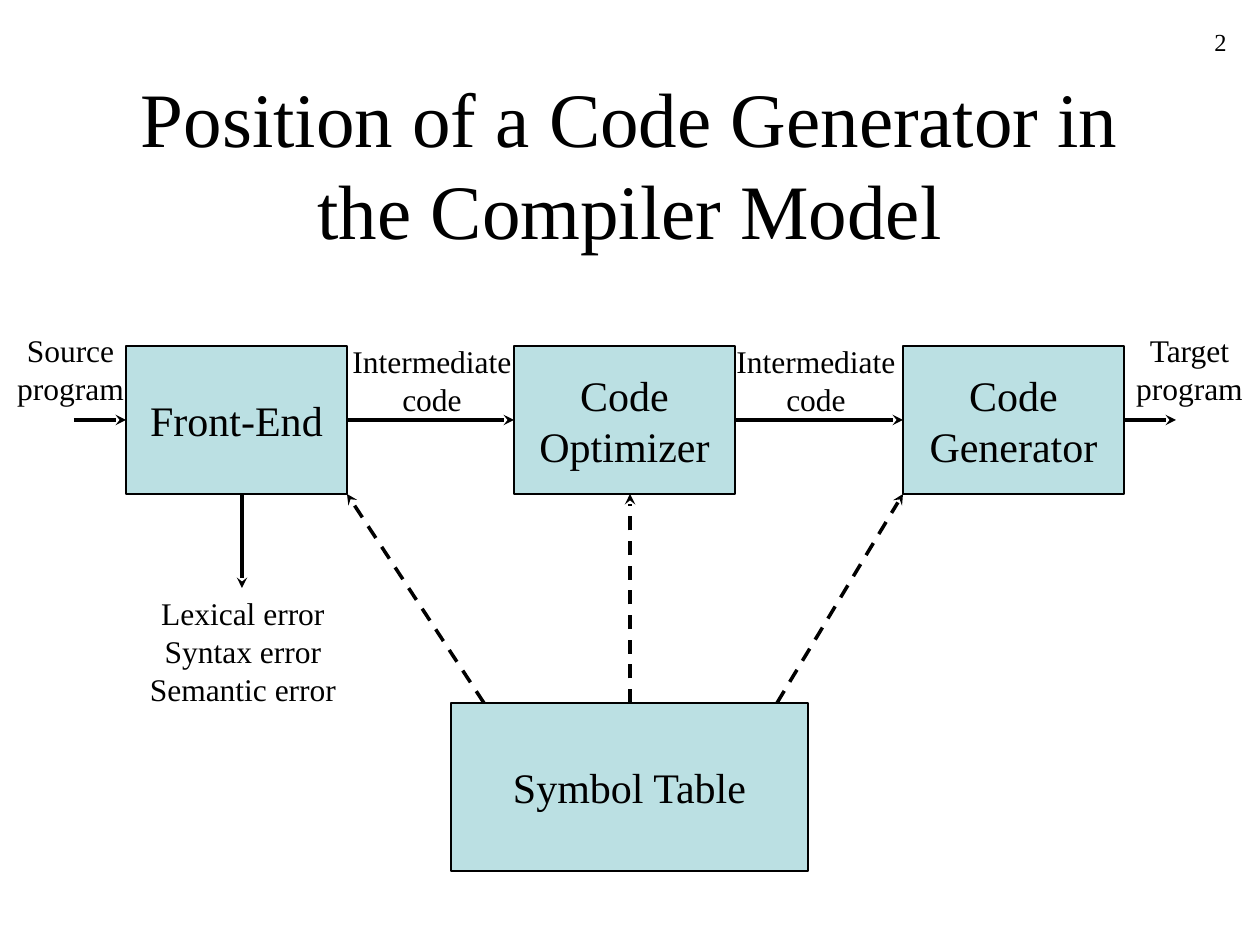
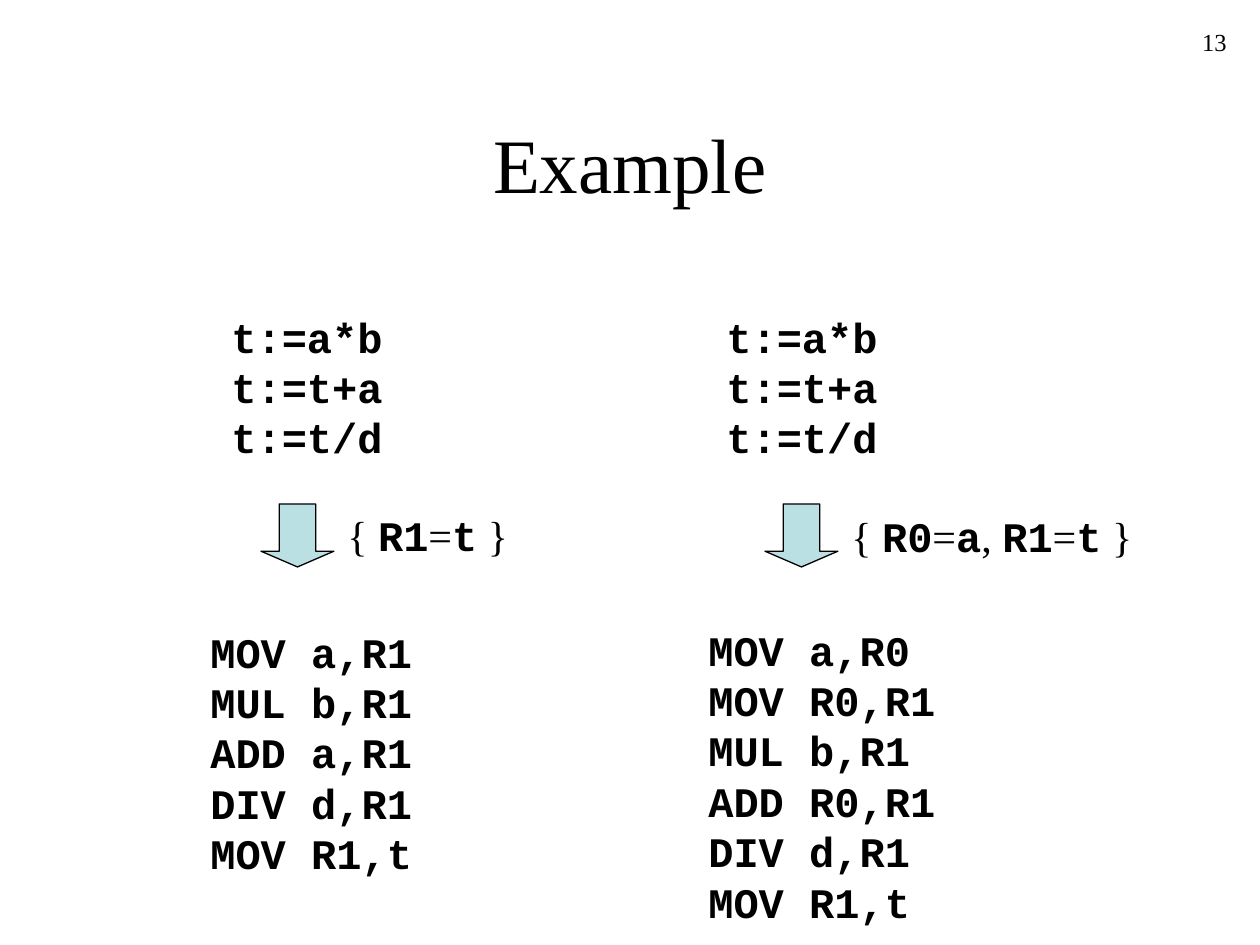
from dataclasses import dataclass

from lxml import etree
from pptx import Presentation
from pptx import util as u
from pptx.dml.color import RGBColor
from pptx.enum import dml, shapes, text
from pptx.oxml import ns

PX_PER_INCH = 126
TITLE_ONLY = 5


@dataclass(frozen=True)
class Theme:
    ink: RGBColor = RGBColor(0, 0, 0)
    paper: RGBColor = RGBColor(255, 255, 255)
    block: RGBColor = RGBColor(0xBB, 0xE0, 0xE3)
    serif: str = "Times New Roman"
    mono: str = "Courier New"
    title_size: int = 44
    body_size: int = 24
    label_size: int = 18
    number_size: int = 14
    outline: float = 0.75
    arrow: float = 2


THEME = Theme()
SERIF = {"name": THEME.serif, "bold": False}
MONO = {"name": THEME.mono, "bold": True}
CENTER = text.PP_ALIGN.CENTER
LEFT = text.PP_ALIGN.LEFT


def px(*lengths):
    return [u.Emu(round(length * 914400 / PX_PER_INCH)) for length in lengths]


def apply(target, values):
    for name, value in values.items():
        setattr(target, name, value)


# Text
def add_span(para, words, size, face):
    span = para.add_run()
    span.text = words
    apply(span.font, {**face, "size": u.Pt(size)})
    span.font.color.rgb = THEME.ink


def write(box, words, size, face=SERIF, align=CENTER, wrap=False,
          anchor=text.MSO_ANCHOR.TOP):
    """Write lines into a box; pieces between bars alternate serif and code."""
    left, top = px(12.6, 6.3)
    apply(box.text_frame, {
        "word_wrap": wrap, "vertical_anchor": anchor,
        "auto_size": text.MSO_AUTO_SIZE.NONE,
        "margin_left": left, "margin_right": left,
        "margin_top": top, "margin_bottom": top})
    para = box.text_frame.paragraphs[0]
    para.alignment = align
    for row, line in enumerate(words.split("\n")):
        if row:
            para.add_line_break()
        for index, piece in enumerate(line.split("|")):
            add_span(para, piece, size, MONO if index % 2 else face)


def add_label(page, area, words, size=THEME.label_size, **style):
    box = page.shapes.add_textbox(*px(*area))
    write(box, words, size, **style)


# Shapes and arrows
def add_block(page, area, words="", kind=shapes.MSO_SHAPE.RECTANGLE):
    block = page.shapes.add_shape(kind, *px(*area))
    block.shadow.inherit = False
    block.fill.solid()
    block.fill.fore_color.rgb = THEME.block
    block.line.color.rgb = THEME.ink
    block.line.width = u.Pt(THEME.outline)
    if words:
        write(block, words, THEME.body_size, anchor=text.MSO_ANCHOR.MIDDLE)
    return block


def add_arrow(page, start, end, dashed=False):
    arrow = page.shapes.add_connector(
        shapes.MSO_CONNECTOR.STRAIGHT, *px(*start, *end))
    arrow.line.color.rgb = THEME.ink
    arrow.line.width = u.Pt(THEME.arrow)
    if dashed:
        arrow.line.dash_style = dml.MSO_LINE.DASH
    properties = arrow.element.spPr
    head = etree.SubElement(properties.find(ns.qn("a:ln")), ns.qn("a:tailEnd"))
    head.set("type", "stealth")
    etree.SubElement(properties, ns.qn("a:effectLst"))


# Shared page frame
def add_page(deck, title, number):
    page = deck.slides.add_slide(deck.slide_layouts[TITLE_ONLY])
    page.background.fill.solid()
    page.background.fill.fore_color.rgb = THEME.paper
    heading = page.shapes.title
    left, top, width, height = px(94, 84, 1072, 158)
    apply(heading, {"left": left, "top": top, "width": width, "height": height})
    write(heading, title, THEME.title_size, wrap=True,
          anchor=text.MSO_ANCHOR.MIDDLE)
    add_label(page, (976, 21, 263, 63), number, THEME.number_size,
              align=text.PP_ALIGN.RIGHT, wrap=True)
    return page


def build_compiler_model(deck):
    page = add_page(deck, "Position of a Code Generator in the Compiler Model", "2")

    # Compiler phases
    top, width, height = 346, 221, 148
    bottom, flow = top + height, top + height // 2
    phases = ("Front-End", "Code\nOptimizer", "Code\nGenerator")
    lefts = [126 + index * 777 // 2 for index in range(len(phases))]
    rights = [left + width for left in lefts]
    for left, phase in zip(lefts, phases):
        add_block(page, (left, top, width, height), phase)

    # Program flow
    stub = 52
    starts = [lefts[0] - stub, *rights]
    ends = [*lefts, rights[-1] + stub]
    for start, end in zip(starts, ends):
        add_arrow(page, (start, flow), (end, flow))
    for left, label_top, label_width, words in (
            (5, 325, 131, "Source\nprogram"),
            (340, 336, 184, "Intermediate\ncode"),
            (724, 336, 184, "Intermediate\ncode"),
            (1124, 325, 131, "Target\nprogram")):
        add_label(page, (left, label_top, label_width, 88), words)

    # Error output
    add_arrow(page, (242, bottom), (242, 588))
    add_label(page, (137, 588, 212, 126),
              "Lexical error\nSyntax error\nSemantic error")

    # Symbol table and its users
    table_top = 703
    add_block(page, (451, table_top, 357, 168), "Symbol Table")
    for start, end in ((484, rights[0]), (630, 630), (777, lefts[2])):
        add_arrow(page, (start, table_top), (end, bottom), dashed=True)


def add_translation(page, source_left, arrow_left, state, state_area,
                    result, result_area):
    code = {"size": THEME.body_size, "face": MONO, "align": LEFT}
    add_label(page, (source_left, 305, 176, 164), "t:=a*b\nt:=t+a\nt:=t/d", **code)
    arrow = add_block(page, (arrow_left, 504, 73, 63),
                      kind=shapes.MSO_SHAPE.DOWN_ARROW)
    arrow.adjustments[0], arrow.adjustments[1] = 0.5, 0.25
    add_label(page, state_area, state, THEME.body_size, align=LEFT)
    add_label(page, result_area, result, **code)


def build_example(deck):
    page = add_page(deck, "Example", "13")
    add_translation(
        page, 219, 261, "{ |R1|=|t| }", (335, 503, 185, 63),
        "MOV a,R1\nMUL b,R1\nADD a,R1\nDIV d,R1\nMOV R1,t", (198, 620, 227, 265))
    add_translation(
        page, 714, 765, "{ |R0|=|a|, |R1|=|t| }", (839, 504, 306, 63),
        "MOV a,R0\nMOV R0,R1\nMUL b,R1\nADD R0,R1\nDIV d,R1\nMOV R1,t",
        (696, 618, 252, 315))


def main():
    deck = Presentation()
    deck.slide_width, deck.slide_height = px(1260, 945)
    build_compiler_model(deck)
    build_example(deck)
    deck.save("out.pptx")


if __name__ == "__main__":
    main()
